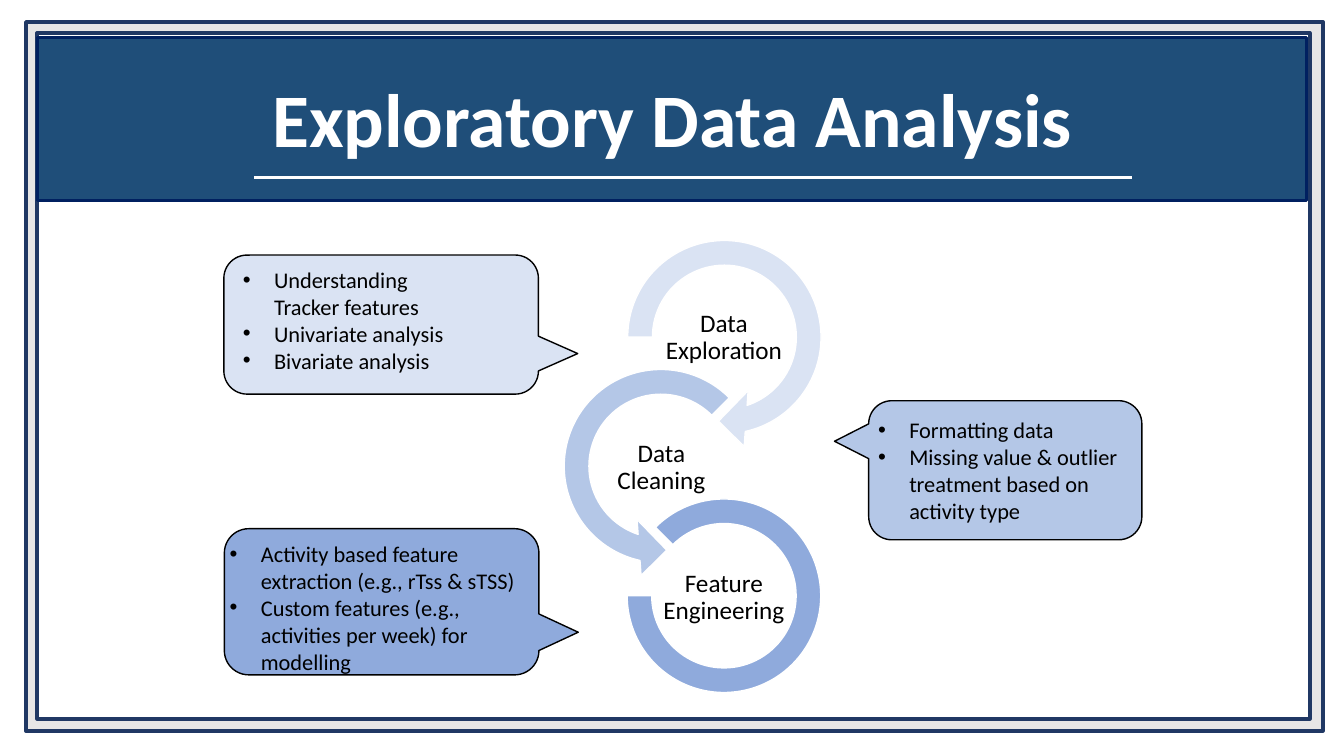
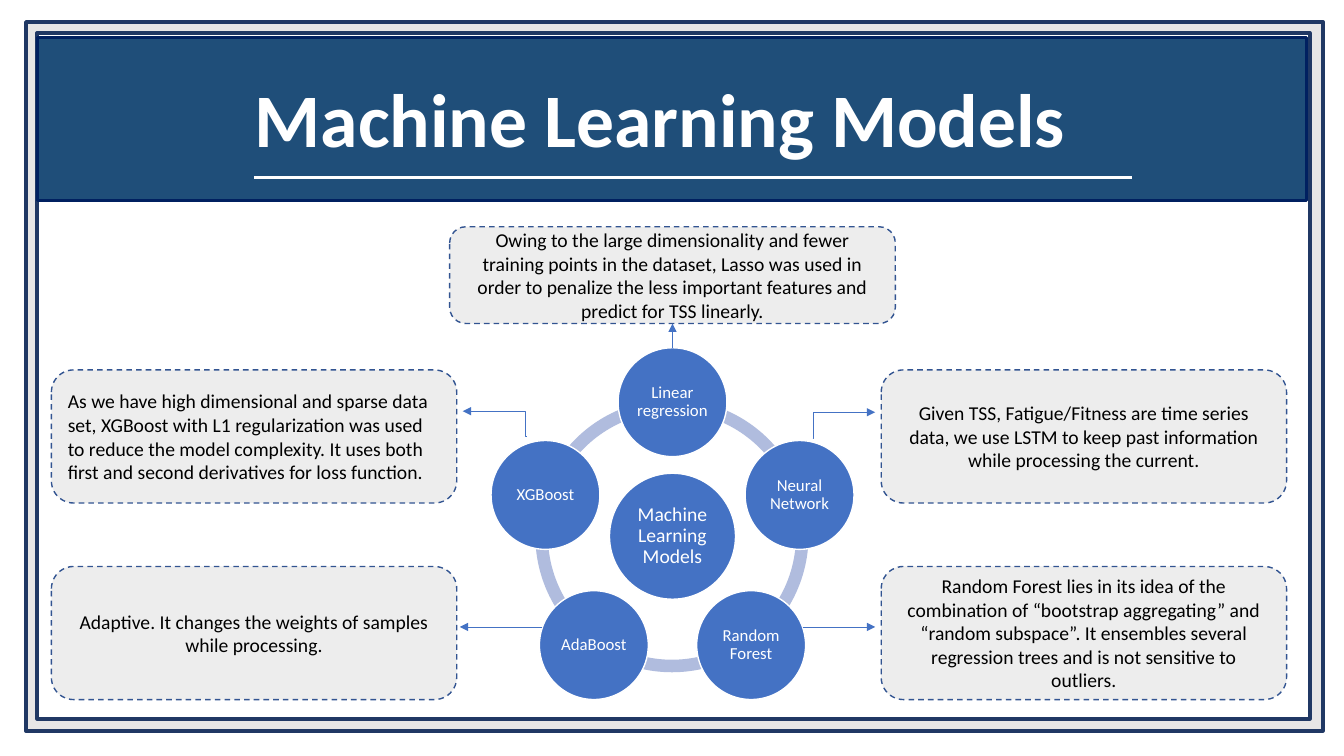
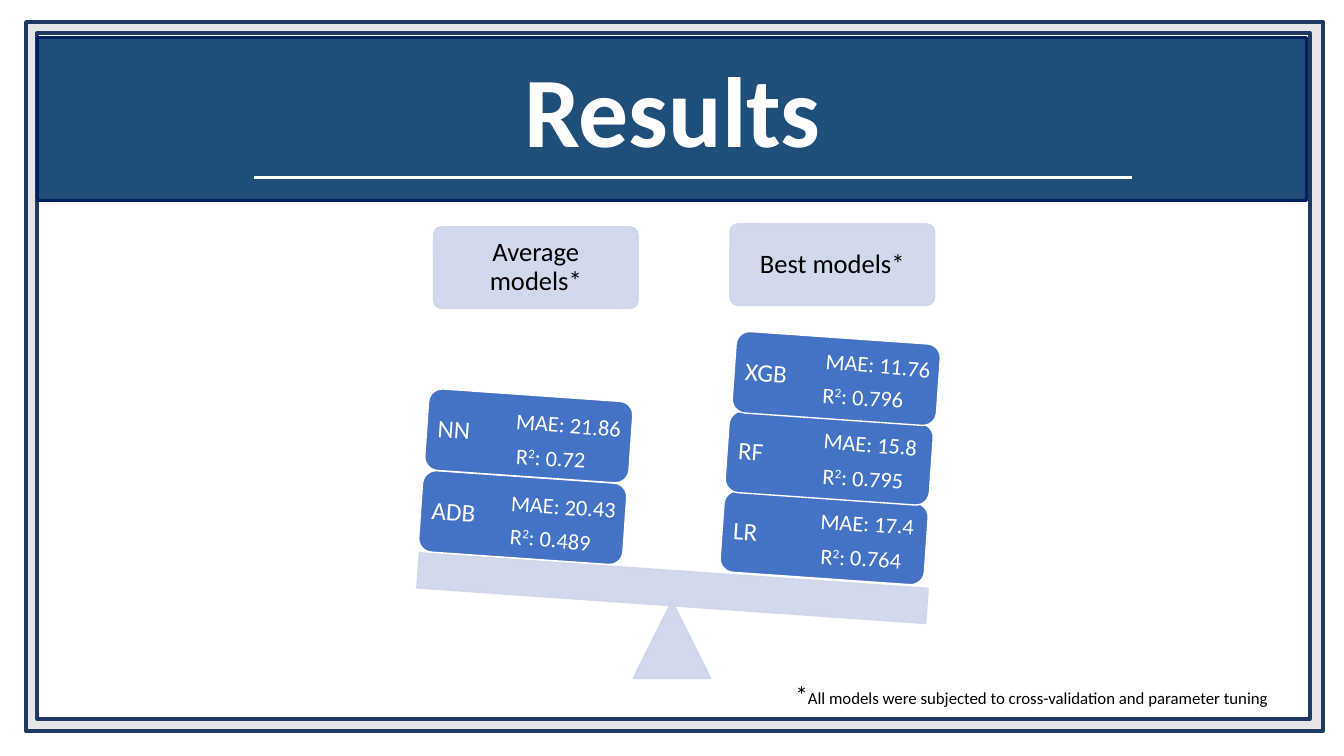
import math

from lxml import etree
from pptx import Presentation
from pptx.dml.color import RGBColor
from pptx.enum.dml import MSO_LINE
from pptx.enum.shapes import MSO_CONNECTOR, MSO_SHAPE
from pptx.enum.text import MSO_ANCHOR, MSO_AUTO_SIZE, PP_ALIGN
from pptx.oxml.ns import qn
from pptx.util import Emu, Pt

PX = 9144  # 100 px to the inch
FONT = "Calibri"
TITLE_ONLY = 5

WHITE = RGBColor(0xFF, 0xFF, 0xFF)
BLACK = RGBColor(0x00, 0x00, 0x00)
FRAME_GREY = RGBColor(0xE7, 0xE6, 0xE6)
FRAME_LINE = RGBColor(0x20, 0x38, 0x64)
BAND = RGBColor(0x1F, 0x4E, 0x79)
BAND_LINE = RGBColor(0x00, 0x20, 0x60)
PALE = RGBColor(0xDA, 0xE3, 0xF3)
LIGHT = RGBColor(0xB4, 0xC7, 0xE7)
MEDIUM = RGBColor(0x8F, 0xAA, 0xDC)
BLUE = RGBColor(0x44, 0x72, 0xC4)
RING = RGBColor(0xB0, 0xBC, 0xDE)
NOTE = RGBColor(0xED, 0xED, 0xED)
NOTE_LINE = RGBColor(0x32, 0x54, 0x91)
SCALE = RGBColor(0xCF, 0xD5, 0xEA)

RECTANGLE = MSO_SHAPE.RECTANGLE
ROUNDED = MSO_SHAPE.ROUNDED_RECTANGLE
OVAL = MSO_SHAPE.OVAL
TRIANGLE = MSO_SHAPE.ISOSCELES_TRIANGLE
BLOCK_ARC = MSO_SHAPE.BLOCK_ARC
ARROW_RIGHT = MSO_SHAPE.CIRCULAR_ARROW
ARROW_LEFT = MSO_SHAPE.LEFT_CIRCULAR_ARROW
CALLOUT = MSO_SHAPE.ROUNDED_RECTANGULAR_CALLOUT
STRAIGHT, ELBOW = MSO_CONNECTOR.STRAIGHT, MSO_CONNECTOR.ELBOW
DASH = MSO_LINE.DASH
LEFT, CENTER = PP_ALIGN.LEFT, PP_ALIGN.CENTER
TOP, MIDDLE, BOTTOM = MSO_ANCHOR.TOP, MSO_ANCHOR.MIDDLE, MSO_ANCHOR.BOTTOM


def px(*lengths):
    return [Emu(round(length * PX)) for length in lengths]


class Deck:
    def __init__(self):
        self.presentation = Presentation()
        self.presentation.slide_width, self.presentation.slide_height = px(1333, 750)
        self.layout = self.presentation.slide_layouts[TITLE_ONLY]
        self.slide = None

    def start(self, title, size=54, spacing=0.9, left=58):
        first = self.slide is None
        self.slide = self.presentation.slides.add_slide(self.layout)
        if first:
            self.decorate_layout()
        holder = self.slide.shapes.title
        holder.left, holder.top, holder.width, holder.height = px(left, 66, 1218, 102)
        self.fill_text(holder, [title], size, WHITE, CENTER, BOTTOM, spacing=spacing, bold=True)

    def decorate_layout(self):
        """Draw frame, band and rule, then move them behind the layout's placeholders."""
        parts = [
            self.shape(RECTANGLE, (26, 22, 1286, 703), FRAME_GREY, FRAME_LINE, 3),
            self.shape(RECTANGLE, (37, 33, 1262, 680), WHITE, FRAME_LINE, 3),
            self.shape(RECTANGLE, (37, 37, 1259, 162), BAND, BAND_LINE, 2.25),
            self.line((252, 176), (1123, 176), WHITE, 2.25),
        ]
        for index, part in enumerate(parts, start=2):
            self.layout.shapes.element.insert(index, part.element)

    def shape(self, kind, box, fill, line=None, width=1, rotation=0, adjust=(), alpha=None):
        shape = self.slide.shapes.add_shape(kind, *px(*box))
        shape.shadow.inherit = False
        shape.rotation = rotation
        shape.fill.solid()
        shape.fill.fore_color.rgb = fill
        if line is None:
            shape.line.fill.background()
        else:
            shape.line.color.rgb = line
            shape.line.width = Pt(width)
        for index, value in enumerate(adjust):
            shape.adjustments[index] = value
        if alpha:
            for color in shape.element.spPr.iter(qn("a:srgbClr")):
                etree.SubElement(color, qn("a:alpha"), val=str(alpha * 1000))
        return shape

    def text(self, box, paragraphs, size, color=BLACK, rotation=0, **style):
        text_box = self.slide.shapes.add_textbox(*px(*box))
        text_box.rotation = rotation
        self.fill_text(text_box, paragraphs, size, color, **style)

    def fill_text(self, shape, paragraphs, size, color=BLACK, align=LEFT, anchor=TOP,
                  inset=None, spacing=None, bold=False, bullets=False):
        """Fill a shape; a paragraph is a string or a list of (text, size, baseline) runs."""
        frame = shape.text_frame
        frame.word_wrap = True
        frame.auto_size = MSO_AUTO_SIZE.NONE
        frame.vertical_anchor = anchor
        sides = px(10, 5, 10, 5) if inset is None else px(*[inset] * 4)
        frame.margin_left, frame.margin_top, frame.margin_right, frame.margin_bottom = sides
        for index, content in enumerate(paragraphs):
            paragraph = frame.add_paragraph() if index else frame.paragraphs[0]
            paragraph.alignment = align
            if spacing:
                paragraph.line_spacing = spacing
            if bullets:
                self.bullet(paragraph)
            paragraph.font.name = FONT
            paragraph.font.size = Pt(size)
            paragraph.font.bold = bold
            paragraph.font.color.rgb = color
            runs = [(content, None, None)] if isinstance(content, str) else content
            for run_text, run_size, baseline in runs:
                run = paragraph.add_run()
                run.text = run_text
                if run_size:
                    run.font.size = Pt(run_size)
                if baseline:
                    run.font._element.set("baseline", str(baseline * 1000))

    def bullet(self, paragraph):
        properties = paragraph._p.get_or_add_pPr()
        indent = 31 * PX
        properties.set("marL", str(indent))
        properties.set("indent", str(-indent))
        etree.SubElement(properties, qn("a:buFont"), typeface="Arial")
        etree.SubElement(properties, qn("a:buChar"), char="•")

    def line(self, start, end, color, width, kind=STRAIGHT, arrow=False):
        connector = self.slide.shapes.add_connector(kind, *px(*start, *end))
        connector.line.color.rgb = color
        connector.line.width = Pt(width)
        properties = connector.element.spPr
        if arrow:
            etree.SubElement(properties.find(qn("a:ln")), qn("a:tailEnd"), type="triangle")
        if kind == ELBOW:  # turn right at the start
            geometry = properties.find(qn("a:prstGeom"))
            guides = geometry.find(qn("a:avLst"))
            if guides is None:
                guides = etree.SubElement(geometry, qn("a:avLst"))
            etree.SubElement(guides, qn("a:gd"), name="adj1", fmla="val 1000")
        etree.SubElement(properties, qn("a:effectLst"))
        return connector

    def circle(self, x, y, diameter, label, size):
        corner = (x - diameter / 2, y - diameter / 2)
        circle = self.shape(OVAL, (*corner, diameter, diameter), BLUE, WHITE)
        self.fill_text(circle, [label], size, WHITE, CENTER, MIDDLE, inset=2, spacing=0.9)
        return circle

    def note(self, box, content, align=CENTER):
        note = self.shape(ROUNDED, box, NOTE, NOTE_LINE)
        note.line.dash_style = DASH
        self.fill_text(note, [content], 14, align=align, anchor=MIDDLE)
        return note


def exploration_slide(deck):
    deck.start("Exploratory Data Analysis")
    steps = [
        (ARROW_RIGHT, (607, 223, 223, 223), (0.11, 11.42, 45, 108, 0.125), PALE,
         "Data Exploration", (656, 304)),
        (ARROW_LEFT, (544, 351, 223, 223), (0.11, 11.42, 63, 189, 0.125), LIGHT,
         "Data Cleaning", (594, 433)),
        (BLOCK_ARC, (622, 495, 192, 192), (135, 108, 0.127), MEDIUM,
         "Feature Engineering", (656, 562)),
    ]
    for kind, box, adjust, fill, label, corner in steps:
        deck.shape(kind, box, fill, WHITE, adjust=adjust)
        deck.text((*corner, 124, 62), [label], 18, align=CENTER, anchor=MIDDLE,
                  inset=1, spacing=0.9)

    callouts = [
        ((309, 166, 138, 312), 270, PALE, (231, 259, 249, 118),
         ["Understanding Tracker features", "Univariate analysis", "Bivariate analysis"]),
        ((928, 331, 138, 271), 90, LIGHT, (861, 408, 258, 118),
         ["Formatting data", "Missing value & outlier treatment based on activity type"]),
        ((306, 441, 145, 312), 270, MEDIUM, (218, 531, 320, 145),
         ["Activity based feature extraction (e.g., rTss & sTSS)",
          "Custom features (e.g., activities per week) for modelling"]),
    ]
    for box, rotation, fill, text_box, items in callouts:
        deck.shape(CALLOUT, box, fill, BLACK, rotation=rotation)
        deck.text(text_box, items, 16, bullets=True)


def models_slide(deck):
    deck.start("Machine Learning Models", left=46)
    center_x, center_y, radius = 667, 532, 133
    models = ["Linear regression", "Neural Network", "Random Forest", "AdaBoost", "XGBoost"]
    full_turn = 216
    step = full_turn / len(models)
    for index in range(len(models)):
        start = (162 + index * step) % full_turn
        end = (start + step) % full_turn
        deck.shape(BLOCK_ARC, (531, 396, 271, 271), RING, adjust=(start, end, 0.046))
    deck.circle(center_x, center_y, 125, "Machine Learning Models", 14)
    circles = []
    for index, model in enumerate(models):
        angle = math.radians(index * 360 / len(models) - 90)
        x = round(center_x + radius * math.cos(angle))
        y = round(center_y + radius * math.sin(angle))
        circles.append(deck.circle(x, y, 108, model, 12))

    left, right, upper, lower, width, height = 51, 874, 367, 562, 402, 132
    lasso = deck.note(
        (446, 225, 442, 96),
        "Owing to the large dimensionality and fewer training points in the dataset, Lasso was "
        "used in order to penalize the less important features and predict for TSS linearly.")
    deck.note(
        (right, upper, width, height),
        "Given TSS, Fatigue/Fitness are time series data, we use LSTM to keep past information "
        "while processing the current.")
    deck.note(
        (left, upper, width, height),
        "As we have high dimensional and sparse data set, XGBoost with L1 regularization was used "
        "to reduce the model complexity. It uses both first and second derivatives for loss "
        "function.", LEFT)
    deck.note(
        (left, lower, width, height),
        "Adaptive. It changes the weights of samples while processing.")
    deck.note(
        (right, lower, width, height),
        "Random Forest lies in its idea of the combination of “bootstrap aggregating” and “random "
        "subspace”. It ensembles several regression trees and is not sensitive to outliers.")

    arrows = [
        ((806, 435), (868, 409), ELBOW),
        ((796, 622), (868, 622), STRAIGHT),
        ((538, 622), (456, 622), STRAIGHT),
        ((522, 433), (459, 408), ELBOW),
    ]
    for start, end, kind in arrows:
        deck.line(start, end, BLUE, 0.5, kind, arrow=True)
    upward = deck.line((667, 345), (667, 321), BLUE, 0.5, arrow=True)
    upward.begin_connect(circles[0], 0)
    upward.end_connect(lasso, 2)


def results_slide(deck):
    deck.start("Results", 71.2, 0.7)
    for left, top, label in [(430, 225, "Average models*"), (724, 222, "Best models*")]:
        header = deck.shape(ROUNDED, (left, top, 203, 81), SCALE, SCALE, adjust=(0.1,), alpha=90)
        deck.fill_text(header, [label], 19, align=CENTER, anchor=MIDDLE, inset=8, spacing=0.9)
    tilt = 4
    deck.shape(TRIANGLE, (628, 596, 77, 77), SCALE, SCALE, alpha=90)
    deck.shape(RECTANGLE, (414, 566, 506, 35), SCALE, SCALE, rotation=tilt, alpha=90)

    # name, card corner, then value, (left, top, width) and rotation for each score
    cards = [
        ("LR", (716, 493), "17.4", (804, 501, 116), 3.6, "0.764", (804, 535, 102), 3.6),
        ("RF", (721, 414), "15.8", (807, 422, 117), 4.7, "0.795", (806, 456, 103), 3.4),
        ("XGB", (728, 335), "11.76", (809, 344, 134), 5, "0.796", (806, 376, 110), 3),
        ("ADB", (417, 473), "20.43", (497, 484, 127), 3.7, "0.489", (496, 517, 116), 4.7),
        ("NN", (423, 392), "21.86", (502, 403, 126), 4.6, "0.72", (502, 436, 103), 3.1),
    ]
    for name, corner, *_ in cards:
        card = deck.shape(ROUNDED, (*corner, 203, 81), BLUE, WHITE, rotation=tilt)
        deck.fill_text(card, [name], 18, WHITE, anchor=MIDDLE, inset=7, spacing=0.9)
    for _, _, error, error_at, error_tilt, fit, fit_at, fit_tilt in cards:
        deck.text((*error_at, 37), [f"MAE: {error}"], 16, WHITE, error_tilt)
        squared = [("R", None, None), ("2", None, 30), (f": {fit}", None, None)]
        deck.text((*fit_at, 37), [squared], 16, WHITE, fit_tilt)

    footnote = [("*", 18, None),
                ("All models were subjected to cross-validation and parameter tuning", 12, None)]
    deck.text((779, 669, 517, 40), [footnote], 12)


def main():
    deck = Deck()
    exploration_slide(deck)
    models_slide(deck)
    results_slide(deck)
    deck.presentation.save("out.pptx")


if __name__ == "__main__":
    main()
